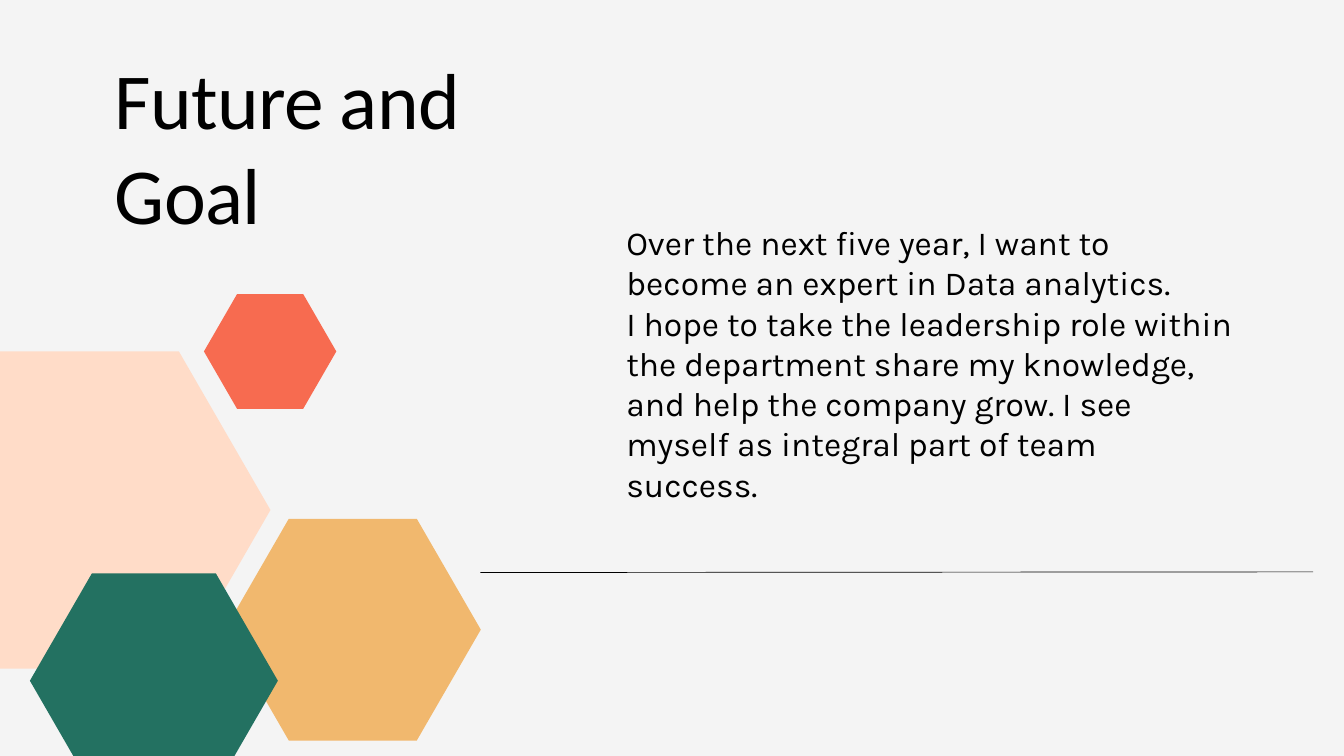
from dataclasses import dataclass
from math import sqrt

from lxml import etree
from pptx import Presentation
from pptx import util as u
from pptx.dml.color import RGBColor
from pptx.enum import shapes, text
from pptx.oxml.ns import qn
from pptx.slide import Slide

COLUMNS, ROWS = 20, 11.25
CELL = u.Inches(1)


def cells(count):
    return u.Emu(round(count * CELL))


def paint(color_format, value):
    color_format.rgb = RGBColor.from_string(value)


@dataclass
class Page:
    slide: Slide
    ink: str = "000000"
    paper: str = "F4F4F4"
    title_font: str = "Calibri"
    body_font: str = "Karla"

    def background(self):
        fill = self.slide.background.fill
        fill.solid()
        paint(fill.fore_color, self.paper)

    def typeset(self, frame, paragraphs, font, size, leading, tracking=0):
        frame.word_wrap = True
        frame.auto_size = text.MSO_AUTO_SIZE.NONE
        frame.vertical_anchor = text.MSO_ANCHOR.TOP
        frame.margin_left = frame.margin_right = 0
        frame.margin_top = frame.margin_bottom = 0
        for index, words in enumerate(paragraphs):
            paragraph = frame.add_paragraph() if index else frame.paragraphs[0]
            paragraph.alignment = text.PP_ALIGN.LEFT
            paragraph.line_spacing = u.Pt(leading)
            run = paragraph.add_run()
            run.text = words
            run.font.name = font
            run.font.size = u.Pt(size)
            paint(run.font.color, self.ink)
            if tracking:
                run._r.get_or_add_rPr().set("spc", str(round(tracking * 100)))

    def title(self, words, column, row, width, height):
        heading = self.slide.shapes.title
        heading.left, heading.top = cells(column), cells(row)
        heading.width, heading.height = cells(width), cells(height)
        self.typeset(heading.text_frame, [words], self.title_font, 85, 102, -0.8)

    def body(self, paragraphs, column, row, width, height):
        box = self.slide.shapes.add_textbox(*map(cells, (column, row, width, height)))
        self.typeset(box.text_frame, paragraphs, self.body_font, 36, 43.2)

    def hexagon(self, center_column, center_row, width, color):
        half, quarter, rise = width / 2, width / 4, width * sqrt(3) / 4
        offsets = [(-half, 0), (-quarter, -rise), (quarter, -rise),
                   (half, 0), (quarter, rise), (-quarter, rise)]
        corners = [(cells(center_column + x), cells(center_row + y)) for x, y in offsets]
        builder = self.slide.shapes.build_freeform(*corners[0])
        builder.add_line_segments(corners[1:], close=True)
        tile = builder.convert_to_shape()
        tile.shadow.inherit = False
        tile.fill.solid()
        paint(tile.fill.fore_color, color)
        tile.line.fill.background()

    def rule(self, start, end, weight):
        line = self.slide.shapes.add_connector(
            shapes.MSO_CONNECTOR.STRAIGHT, *map(cells, start + end))
        line.line.width = u.Pt(weight)
        paint(line.line.color, self.ink)
        etree.SubElement(line._element.spPr, qn("a:effectLst"))


def main():
    deck = Presentation()
    deck.slide_width, deck.slide_height = cells(COLUMNS), cells(ROWS)
    page = Page(deck.slides.add_slide(deck.slide_layouts.get_by_name("Title Only")))

    page.background()
    page.title("Future and Goal", 1.71, 0.74, 6.03, 4.22)

    honeycomb = [
        (1.3, 7.59, 5.45, "FFDCC8"),
        (5.25, 9.37, 3.81, "F1B86E"),
        (4.02, 5.23, 1.97, "F76B50"),
        (2.29, 10.13, 3.69, "237161"),
    ]
    for tile in honeycomb:
        page.hexagon(*tile)

    ambitions = [
        "Over the next five year, I want to become an expert in Data analytics.",
        "I hope to take the leadership role within the department share my knowledge, "
        "and help the company grow. I see myself as integral part of team success.",
    ]
    page.body(ambitions, 9.32, 3.3, 9.05, 4.75)
    page.rule((7.15, 8.52), (19.54, 8.51), 0.75)

    deck.save("out.pptx")


if __name__ == "__main__":
    main()
